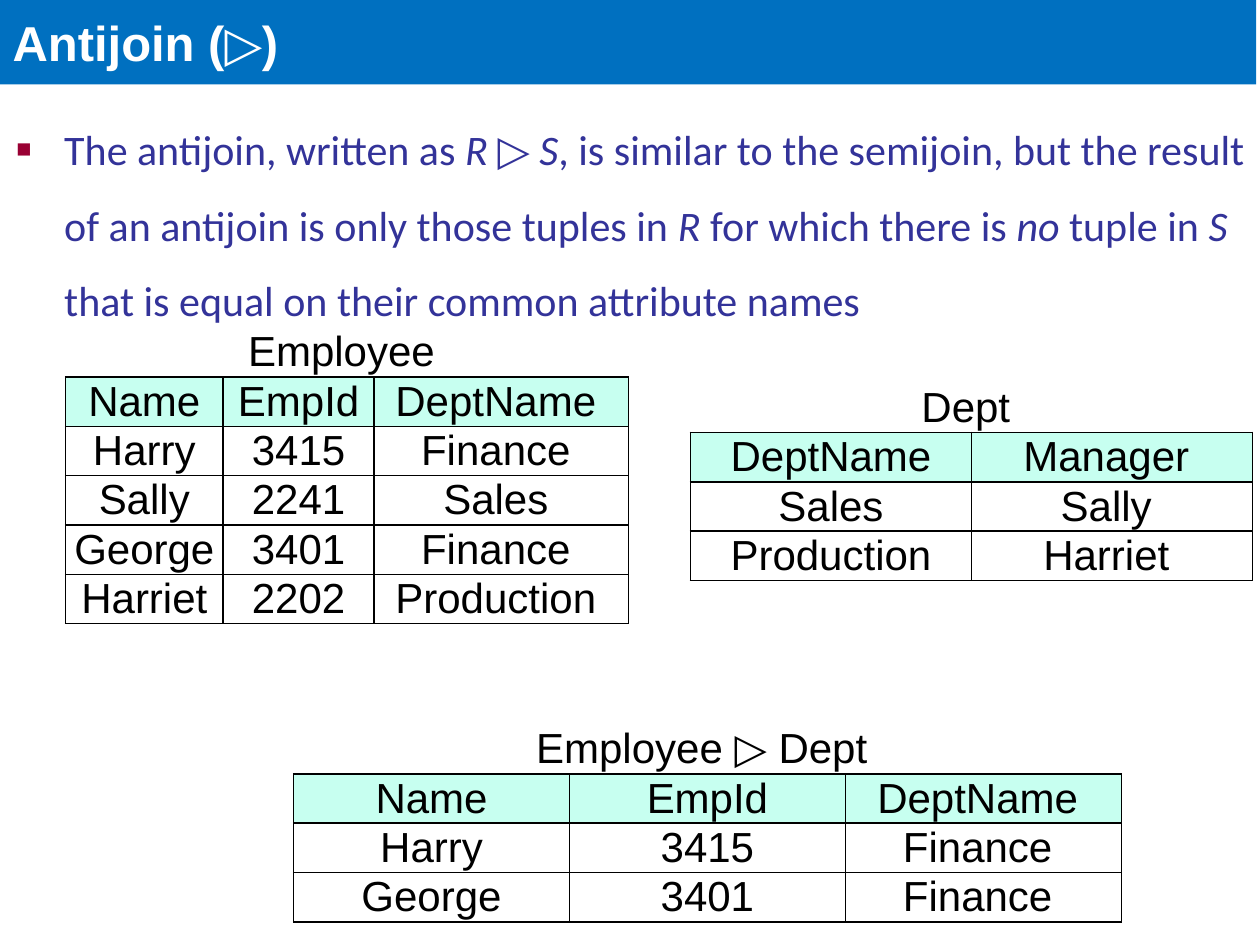
import lxml.etree
import pptx
import pptx.dml.color
import pptx.enum.text
import pptx.oxml
import pptx.oxml.ns
import pptx.util

RGBColor = pptx.dml.color.RGBColor
Inches = pptx.util.Inches
ALIGN = pptx.enum.text.PP_ALIGN
ANCHOR = pptx.enum.text.MSO_ANCHOR

BLUE = RGBColor(0x00, 0x70, 0xC0)
WHITE = RGBColor(0xFF, 0xFF, 0xFF)
INDIGO = RGBColor(0x33, 0x33, 0x99)
MAROON = RGBColor(0x99, 0x00, 0x33)
MINT = RGBColor(0xC7, 0xFF, 0xF0)
BLACK = RGBColor(0x00, 0x00, 0x00)

ROW_HEIGHT = 0.39
CELL_MARGIN = 0.01
LAST_COLUMN_MARGIN = 0.1
PLAIN_TABLE_STYLE = "{2D5ABB26-0587-4C30-8999-92F81FD0307C}"


def write(paragraph, text, size=24, font="Arial", color=BLACK, bold=False,
          italic=False, align=ALIGN.LEFT):
    paragraph.alignment = align
    run = paragraph.add_run()
    run.text = text
    run.font.size = pptx.util.Pt(size)
    run.font.name = font
    run.font.color.rgb = color
    run.font.bold = bold
    run.font.italic = italic


def add_borders(cell, sides):
    """Draw 1 pt lines on the given sides, any of L, R, T and B in that order."""
    properties = cell._tc.get_or_add_tcPr()
    for side in sides:
        properties.append(pptx.oxml.parse_xml(
            f'<a:ln{side} {pptx.oxml.ns.nsdecls("a")} w="12700"><a:solidFill>'
            f'<a:srgbClr val="{BLACK}"/></a:solidFill></a:ln{side}>'))


deck = pptx.Presentation()
deck.slide_width, deck.slide_height = Inches(10), Inches(7.5)
slide = deck.slides.add_slide(deck.slide_layouts[1])

# Title band
title = slide.shapes.title
title.left, title.top, title.width, title.height = map(Inches, (0, 0, 9.97, 0.67))
title.fill.solid()
title.fill.fore_color.rgb = BLUE
title.text_frame.vertical_anchor = ANCHOR.MIDDLE
write(title.text_frame.paragraphs[0], "Antijoin\u00a0(▷)", size=28, color=WHITE, bold=True)

# Definition
definition = slide.placeholders[1]
definition.left, definition.top, definition.width, definition.height = map(
    Inches, (0.03, 0.73, 9.92, 1.81))
definition.text_frame.margin_right = 0
definition.text_frame.auto_size = pptx.enum.text.MSO_AUTO_SIZE.NONE
sentence = definition.text_frame.paragraphs[0]
sentence.line_spacing = 1.5
sentence.space_before = 0
bullet = sentence._p.get_or_add_pPr()
bullet.set("marL", str(Inches(0.38)))
bullet.set("indent", str(-Inches(0.38)))
for tag, value in (("buClr", None), ("buSzPct", ("val", "60000")),
                   ("buFont", ("typeface", "Arial")), ("buChar", ("char", "■"))):
    part = lxml.etree.SubElement(bullet, pptx.oxml.ns.qn(f"a:{tag}"))
    if value:
        part.set(*value)
    else:
        lxml.etree.SubElement(part, pptx.oxml.ns.qn("a:srgbClr")).set("val", str(MAROON))

# Plain and italic pieces alternate
pieces = ("The antijoin, written as ", "R", " ▷ ", "S",
          ", is similar to the semijoin, but the result of an antijoin is only "
          "those tuples in ", "R", " for which there is ", "no", " tuple in ", "S",
          " that is equal on their common attribute names")
for position, piece in enumerate(pieces):
    write(sentence, piece, font="Calibri", color=INDIGO, italic=position % 2 == 1)

# Relations: name, left, top, column widths, rows with the attribute names first
relations = (
    ("Employee", 0.52, 2.6, (1.25, 1.2, 2.02), (
        ("Name", "EmpId", "DeptName"),
        ("Harry", "3415", "Finance"),
        ("Sally", "2241", "Sales"),
        ("George", "3401", "Finance"),
        ("Harriet", "2202", "Production"))),
    ("Dept", 5.48, 3.04, (2.23, 2.23), (
        ("DeptName", "Manager"),
        ("Sales", "Sally"),
        ("Production", "Harriet"))),
    ("Employee ▷ Dept", 2.33, 5.75, (2.19, 2.19, 2.19), (
        ("Name", "EmpId", "DeptName"),
        ("Harry", "3415", "Finance"),
        ("George", "3401", "Finance"))),
)
for name, left, top, widths, tuples in relations:
    row_count = len(tuples) + 1
    frame = slide.shapes.add_table(
        row_count, len(widths), Inches(left), Inches(top),
        Inches(sum(widths)), Inches(ROW_HEIGHT * row_count))
    table = frame.table
    table.first_row = table.horz_banding = False
    table._tbl.tblPr.find(pptx.oxml.ns.qn("a:tableStyleId")).text = PLAIN_TABLE_STYLE
    for column, width in zip(table.columns, widths):
        column.width = Inches(width)
    last = len(widths) - 1
    table.cell(0, 0).merge(table.cell(0, last))

    caption = (name,) + ("",) * last
    for r, values in enumerate((caption, *tuples)):
        table.rows[r].height = Inches(ROW_HEIGHT)
        for c, value in enumerate(values):
            cell = table.cell(r, c)
            cell.vertical_anchor = ANCHOR.MIDDLE
            cell.margin_left = cell.margin_top = cell.margin_bottom = Inches(CELL_MARGIN)
            cell.margin_right = Inches(
                LAST_COLUMN_MARGIN if r == 0 or c == last else CELL_MARGIN)
            add_borders(cell, "LRTB" if r else "B")
            if r == 1:
                cell.fill.solid()
                cell.fill.fore_color.rgb = MINT
            else:
                cell.fill.background()
            if value:
                write(cell.text_frame.paragraphs[0], value, align=ALIGN.CENTER)

deck.save("out.pptx")
